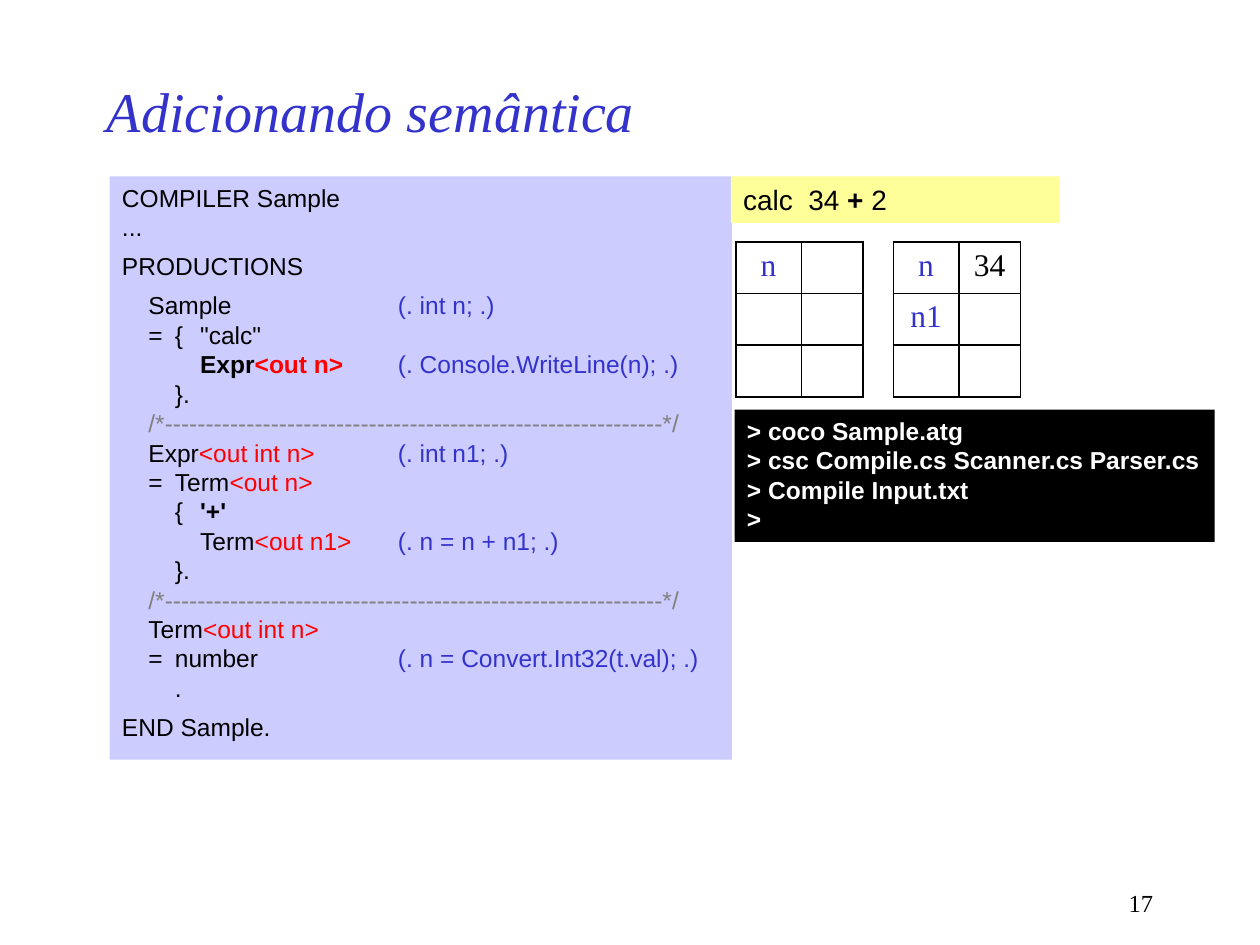
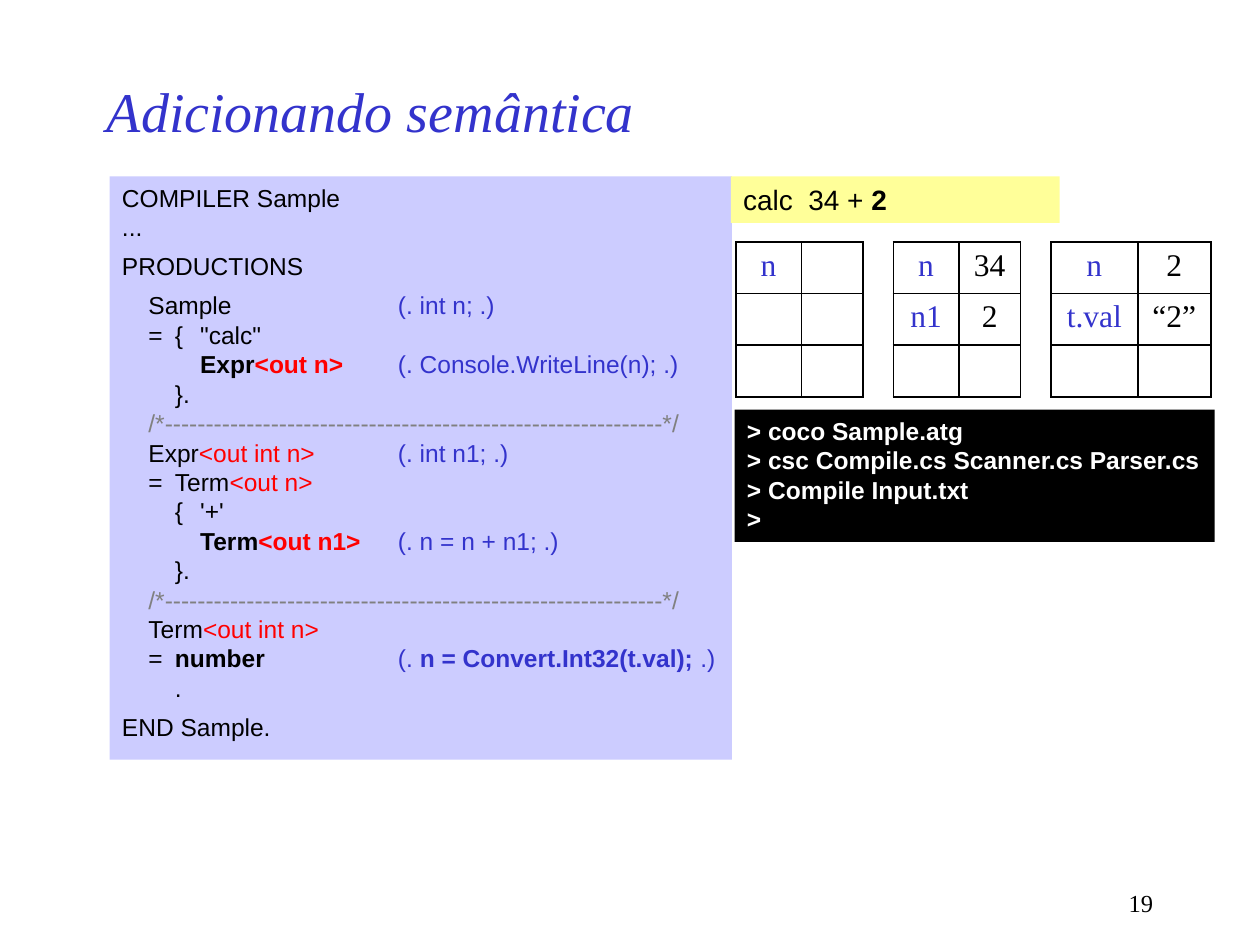
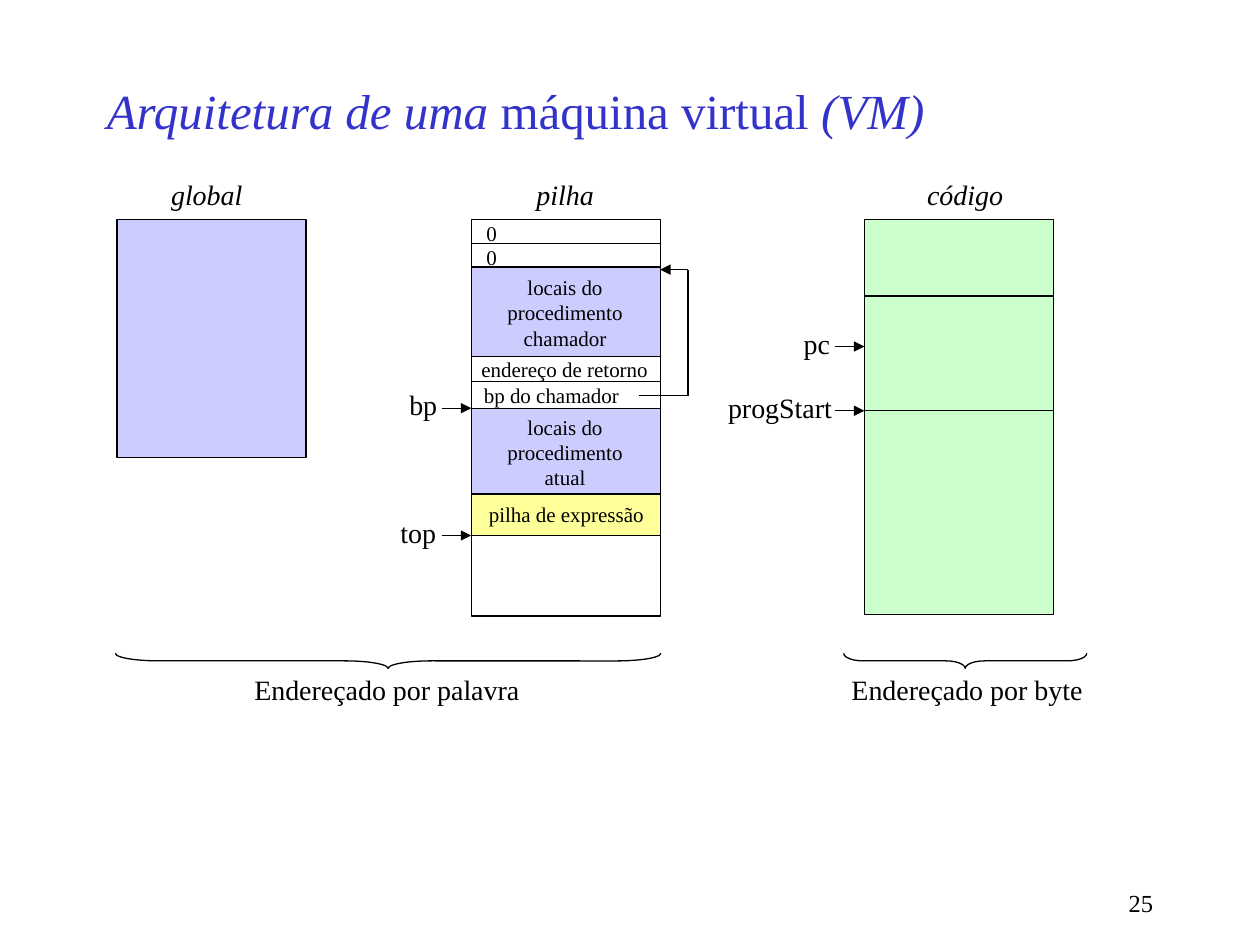
"""Builds three slides on attributed grammars and the layout of a virtual machine."""
from lxml import etree
from pptx import Presentation
from pptx.dml.color import RGBColor
from pptx.enum.shapes import MSO_CONNECTOR, MSO_SHAPE
from pptx.enum.text import MSO_ANCHOR, MSO_AUTO_SIZE, PP_ALIGN
from pptx.oxml.ns import qn
from pptx.util import Inches, Pt

RECTANGLE, BRACE = MSO_SHAPE.RECTANGLE, MSO_SHAPE.RIGHT_BRACE
STRAIGHT = MSO_CONNECTOR.STRAIGHT
TOP, MIDDLE = MSO_ANCHOR.TOP, MSO_ANCHOR.MIDDLE
LEFT, CENTER, RIGHT = PP_ALIGN.LEFT, PP_ALIGN.CENTER, PP_ALIGN.RIGHT
GROW, FIXED = MSO_AUTO_SIZE.SHAPE_TO_FIT_TEXT, MSO_AUTO_SIZE.NONE

COLORS = {"ink": "000000", "paper": "FFFFFF", "blue": "3333CC", "red": "FF0000", "gray": "808080",
          "lilac": "CCCCFF", "yellow": "FFFF99", "green": "CCFFCC"}
SERIF, SANS = "Times New Roman", "Arial"

TITLE = {"name": SERIF, "size": 32, "color": "blue", "italic": True}
LONG_TITLE = {**TITLE, "size": 28}
FOOTER = {"name": SERIF, "size": 14, "color": "ink"}
CODE = {"name": SANS, "size": 14, "color": "ink"}
INPUT = {**CODE, "size": 16}
CONSOLE = {**CODE, "color": "paper", "bold": True}
CELL = {"name": SERIF, "size": 18}
LABEL = {"name": SERIF, "size": 16, "color": "ink"}
CAPTION = {**LABEL, "italic": True}
SMALL = {**LABEL, "size": 12}

CODE_TABS = (0.21, 0.42, 0.62, 2.19)
SPACED_LINES = ("PRODUCTIONS", "\tSample \t", "END Sample.")
RULE = [("\t/*-------------------------------------------------------------*/", "gray")]
GRAMMAR = [
    [("COMPILER Sample", "ink")],
    [("...", "ink")],
    [("PRODUCTIONS", "ink")],
    [("\tSample \t", "ink"), ("(. int n; .)", "blue")],
    [("\t=\t{\t\"calc\"", "ink")],
    [("\t\t\t", "ink"), ("Expr", "ink", "call"), ("<out n>\t", "red", "call"),
     ("(. Console.WriteLine(n); .)", "blue")],
    [("\t\t}.", "ink")],
    RULE,
    [("\tExpr", "ink"), ("<out int n>\t", "red"), ("(. int n1; .)", "blue")],
    [("\t=\tTerm", "ink"), ("<out n>", "red")],
    [("\t\t{\t", "ink"), ("'+'", "ink", "plus")],
    [("\t\t\t", "ink"), ("Term", "ink", "term"), ("<out n1>\t", "red", "term"),
     ("(. n = n + n1; .)", "blue")],
    [("\t\t}.", "ink")],
    RULE,
    [("\tTerm", "ink"), ("<out int n>", "red")],
    [("\t=\t", "ink"), ("number\t", "ink", "number"), ("(. ", "blue"),
     ("n = Convert.Int32(t.val);", "blue", "number"), (" .)", "blue")],
    [("\t\t.", "ink")],
    [("END Sample.", "ink")],
]
INPUT_LINE = [("calc  34 ", "ink"), ("+ ", "ink", "plus"), ("2", "ink", "number")]
COMMANDS = ["> coco Sample.atg", "> csc Compile.cs Scanner.cs Parser.cs", "> Compile Input.txt", ">"]

NARROW, WIDE = (0.52, 0.49), (0.69, 0.58)
TABLE_ROWS, ROW_HEIGHT = 3, 0.41
TABLE_LEFT, TABLE_TOP, TABLE_STEP = 5.84, 1.92, 1.25
PARSE_STEPS = [
    {"number": "17", "focus": {"call", "plus"},
     "tables": [(NARROW, [("n", "")]), (NARROW, [("n", "34"), ("n1", "")])]},
    {"number": "19", "focus": {"call", "term", "number"},
     "tables": [(NARROW, [("n", "")]), (NARROW, [("n", "34"), ("n1", "2")]),
                (WIDE, [("n", "2"), ("t.val", "“2”")])]},
]

MACHINE_TITLE = [("Arquitetura de uma ", {}), ("máquina virtual", {"italic": False}), (" (VM)", {})]
AREA_TOP, AREA_WIDTH = 1.74, 1.5
GLOBAL_LEFT, STACK_LEFT, CODE_LEFT = 0.93, 3.74, 6.86
STACK_RIGHT = STACK_LEFT + AREA_WIDTH
STACK_BANDS = [(2.12, 2.83, "lilac"), (3.24, 3.92, "lilac"), (3.92, 4.25, "yellow")]
AREAS = [(GLOBAL_LEFT, 1.89, "lilac", []),
         (STACK_LEFT, 3.15, None, [1.93, 2.12, 2.83, 3.03, 3.24, 3.92]),
         (CODE_LEFT, 3.14, "green", [2.35, 3.26])]
CAPTIONS = [("global", 1.26, 0.77), ("pilha", 4.16, 0.66), ("código", 7.26, 0.81)]
POINTERS = [("bp", 3.15, 0.42, STACK_LEFT, 3.24), ("top", 3.08, 0.48, STACK_LEFT, 4.25),
            ("progStart", 5.68, 1.03, CODE_LEFT, 3.26), ("pc", 6.28, 0.41, CODE_LEFT, 2.75)]
STACK_TEXTS = [
    (["0"], 3.86, 1.75, 0.08, LEFT),
    (["0"], 3.86, 1.94, 0.08, LEFT),
    (["locais do", "procedimento", "chamador"], 4.02, 2.18, 0.93, CENTER),
    (["endereço de retorno"], 3.82, 2.83, 1.34, LEFT),
    (["bp do chamador"], 3.84, 3.04, 1.09, LEFT),
    (["locais do", "procedimento", "atual"], 4.02, 3.29, 0.93, CENTER),
    (["pilha de expressão"], 3.87, 3.98, 1.25, CENTER),
]
CALLER_LINK = [(5.07, 3.14), (5.46, 3.14), (5.46, 2.14), (STACK_RIGHT, 2.14)]
BRACES = [(3.02, 3.08, 4.33, 2.89), (7.6, 4.28, 1.93, 1.29)]
BRACE_LABELS = [("Endereçado por palavra", 1.92, 2.33), ("Endereçado por byte", 6.66, 2.06)]


def rgb(name):
    return RGBColor.from_string(COLORS[name])


def inches(values):
    return [Inches(value) for value in values]


def plain(lines):
    return [[(line, {})] for line in lines]


def focused(line, focus):
    return [(text, {"color": color, "bold": bool(focus.intersection(tags))})
            for text, color, *tags in line]


def write(frame, lines, style, align=LEFT, tabs=(), **layout):
    for name, value in layout.items():
        setattr(frame, name, value)
    for index, spans in enumerate(lines):
        para = frame.add_paragraph() if index else frame.paragraphs[0]
        para.alignment = align
        if tabs:
            tab_list = etree.SubElement(para._p.get_or_add_pPr(), qn("a:tabLst"))
            for stop in tabs:
                etree.SubElement(tab_list, qn("a:tab"), pos=str(Inches(stop)), algn="l")
        if spans[0][0] in SPACED_LINES:
            para.space_before = Pt(5.6)
        for text, changes in spans:
            span = para.add_run()
            span.text = text
            look = {**style, **changes}
            span.font.color.rgb = rgb(look.pop("color"))
            look["size"] = Pt(look["size"])
            for name, value in look.items():
                setattr(span.font, name, value)


def add_text(page, at, lines, style, inset=True, wrap=False, grow=GROW, **layout):
    frame = page.shapes.add_textbox(*inches(at)).text_frame
    if not inset:
        layout.update(dict.fromkeys(("margin_left", "margin_top", "margin_right", "margin_bottom"), 0))
    write(frame, lines, style, word_wrap=wrap, auto_size=grow, **layout)


def add_shape(page, kind, at, fill=None, line=None):
    shape = page.shapes.add_shape(kind, *inches(at))
    shape.shadow.inherit = False
    if fill:
        shape.fill.solid()
        shape.fill.fore_color.rgb = rgb(fill)
    else:
        shape.fill.background()
    if line:
        shape.line.color.rgb = rgb(line)
        shape.line.width = Pt(0.75)
    else:
        shape.line.fill.background()
    return shape


def add_line(page, start, end, arrow=False):
    line = page.shapes.add_connector(STRAIGHT, *inches(start + end))
    line.line.color.rgb = rgb("ink")
    line.line.width = Pt(0.75)
    if arrow:
        etree.SubElement(line.line._get_or_add_ln(), qn("a:tailEnd"), type="triangle")
    etree.SubElement(line._element.spPr, qn("a:effectLst"))


def add_page(deck, number, title, style):
    page = deck.slides.add_slide(deck.slide_layouts[6])
    add_text(page, (7.17, 7, 2.08, 0.33), plain([number]), FOOTER, wrap=True, grow=FIXED, align=RIGHT)
    add_text(page, (0.75, 0.5, 7.5, 0.75), [title], style, wrap=True, grow=FIXED,
             vertical_anchor=MIDDLE)
    return page


def add_borders(cell):
    properties = cell._tc.get_or_add_tcPr()
    for index, side in enumerate(("lnL", "lnR", "lnT", "lnB")):
        border = etree.Element(qn("a:" + side), w=str(Pt(1)))
        fill = etree.SubElement(border, qn("a:solidFill"))
        etree.SubElement(fill, qn("a:srgbClr"), val=COLORS["ink"])
        properties.insert(index, border)


def add_variables(page, left, widths, values):
    at = inches((left, TABLE_TOP, sum(widths), TABLE_ROWS * ROW_HEIGHT))
    table = page.shapes.add_table(TABLE_ROWS, len(widths), *at).table
    table.first_row = table.horz_banding = False
    for column, width in zip(table.columns, widths):
        column.width = Inches(width)
    for cell in table.iter_cells():
        cell.fill.background()
        add_borders(cell)
    for row, pair in enumerate(values):
        for column, (text, color) in enumerate(zip(pair, ("blue", "ink"))):
            if text:
                write(table.cell(row, column).text_frame, [[(text, {"color": color})]], CELL, CENTER)


def build_parse_step(deck, step):
    page = add_page(deck, step["number"], [("Adicionando semântica", {})], TITLE)
    focus = step["focus"]
    panels = [
        ((0.87, 1.4, 4.94, 4.63), "lilac", [focused(line, focus) for line in GRAMMAR], CODE, CODE_TABS, False),
        ((5.8, 1.4, 2.61, 0.37), "yellow", [focused(INPUT_LINE, focus)], INPUT, (), True),
        ((5.83, 3.25, 3.81, 1.05), "ink", plain(COMMANDS), CONSOLE, (), False),
    ]
    for at, fill, lines, style, tabs, wrap in panels:
        panel = add_shape(page, RECTANGLE, at, fill)
        write(panel.text_frame, lines, style, tabs=tabs, word_wrap=wrap, auto_size=GROW,
              vertical_anchor=TOP)
    for index, (widths, values) in enumerate(step["tables"]):
        add_variables(page, TABLE_LEFT + index * TABLE_STEP, widths, values)


def build_machine(deck):
    page = add_page(deck, "25", MACHINE_TITLE, LONG_TITLE)
    for top, bottom, fill in STACK_BANDS:
        add_shape(page, RECTANGLE, (STACK_LEFT, top, AREA_WIDTH, bottom - top), fill, "ink")
    for left, height, fill, dividers in AREAS:
        add_shape(page, RECTANGLE, (left, AREA_TOP, AREA_WIDTH, height), fill, "ink")
        for y in dividers:
            add_line(page, (left, y), (left + AREA_WIDTH, y))
    for text, left, width in CAPTIONS:
        add_text(page, (left, 1.36, width, 0.37), plain([text]), CAPTION)
    for lines, left, top, width, align in STACK_TEXTS:
        add_text(page, (left, top, width, 0.2 * len(lines)), plain(lines), SMALL, inset=False, align=align)
    for text, left, width, target, y in POINTERS:
        add_line(page, (target - 0.23, y), (target, y), arrow=True)
        add_text(page, (left, y - 0.21, width, 0.37), plain([text]), LABEL)
    for start, end in zip(CALLER_LINK, CALLER_LINK[1:]):
        add_line(page, start, end, arrow=end == CALLER_LINK[-1])
    for left, top, length, curve in BRACES:
        brace = add_shape(page, BRACE, (left, top, 0.12, length), line="ink")
        brace.rotation = 90
        brace.adjustments[0] = curve
    for text, left, width in BRACE_LABELS:
        add_text(page, (left, 5.29, width, 0.37), plain([text]), LABEL)


def main():
    deck = Presentation()
    deck.slide_width, deck.slide_height = Inches(10), Inches(7.5)
    for step in PARSE_STEPS:
        build_parse_step(deck, step)
    build_machine(deck)
    deck.save("out.pptx")


if __name__ == "__main__":
    main()
